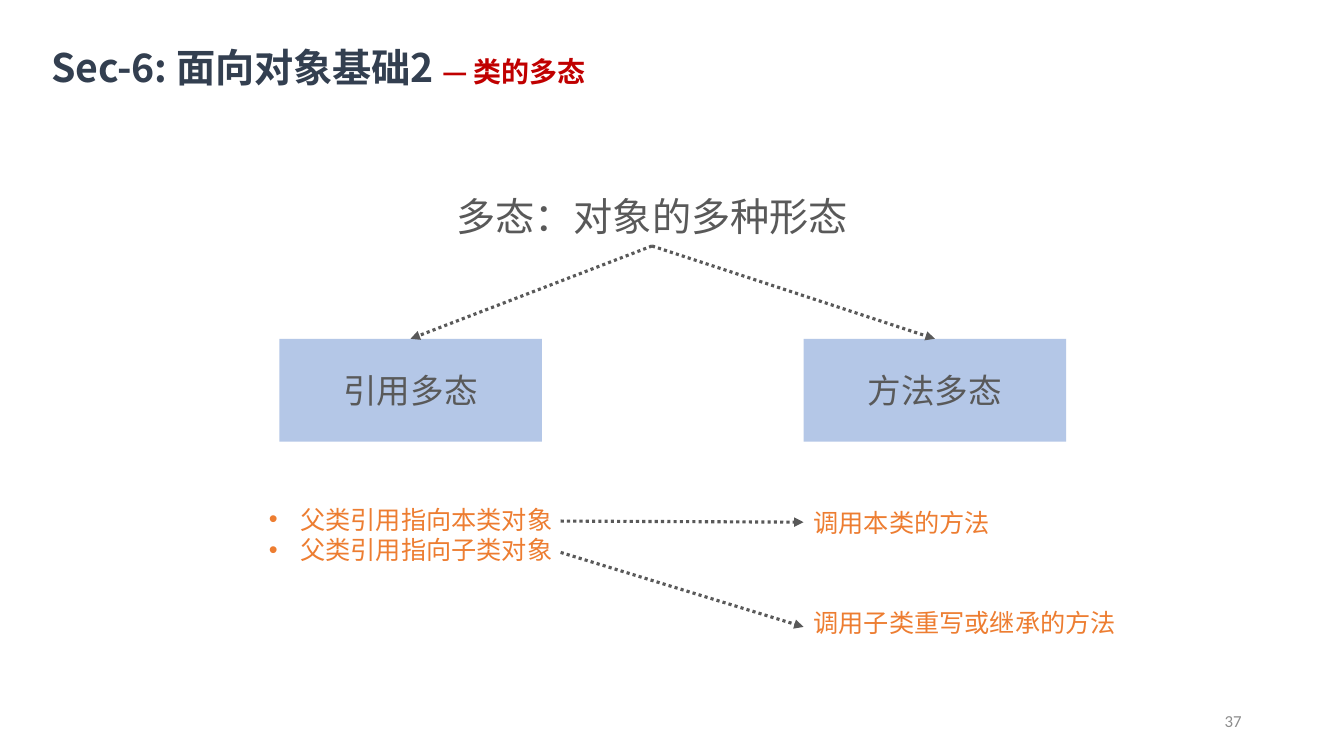
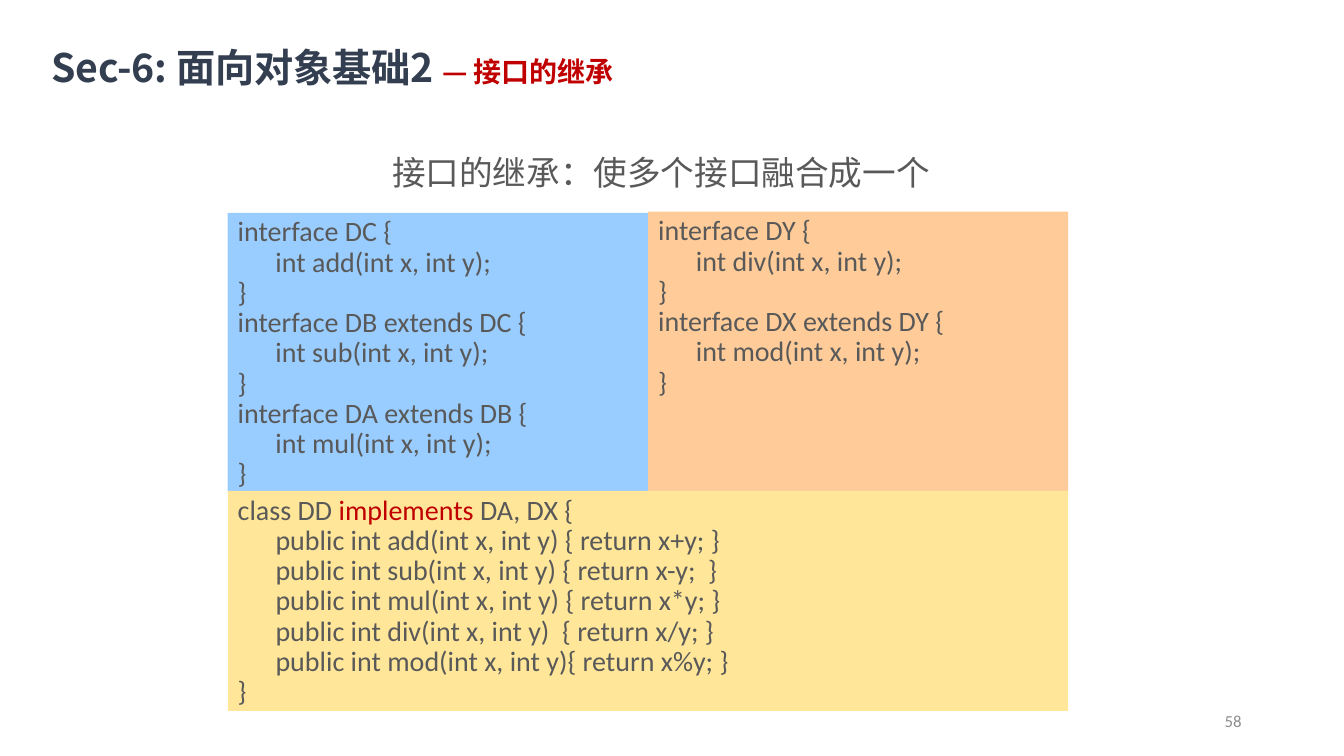
"""Build two lecture slides on polymorphism and interface inheritance."""
from lxml import etree
from pptx import Presentation
from pptx.dml.color import RGBColor
from pptx.enum.dml import MSO_LINE
from pptx.enum.shapes import MSO_CONNECTOR as CONNECTOR, MSO_SHAPE as SHAPE
from pptx.enum.text import MSO_ANCHOR as ANCHOR, PP_ALIGN as ALIGN
from pptx.oxml.ns import qn
from pptx.util import Pt

COLORS = {
    "navy": "333F50", "red": "C00000", "text": "595959", "number": "8C8C8C",
    "orange": "ED7D31", "box": "B4C7E7", "blue": "99CCFF", "peach": "FFCC99",
    "yellow": "FFE699",
}
CJK, LATIN = "Noto Sans CJK SC", "Calibri"
TITLE = {"size": Pt(28), "color": "navy", "bold": True}
TOPIC = {"size": Pt(20), "color": "red"}
NUMBER = {"size": Pt(12), "color": "number", "name": LATIN}
HEADING = {"size": Pt(28), "color": "text"}
LABEL = {"size": Pt(24), "color": "text"}
POINT = {"size": Pt(18), "color": "orange"}
CODE = {"size": Pt(20), "color": "text", "name": LATIN}
CENTER = {"alignment": ALIGN.CENTER}
HANGING = {"marL": Pt(27), "indent": Pt(-27)}
BULLETED = {"marL": Pt(22.5), "indent": Pt(-22.5)}


def add_text(slide, box, lines, font, fill=None, frame=None, layout=None, indent=None):
    position = [Pt(value) for value in box]
    if fill:
        shape = slide.shapes.add_shape(SHAPE.RECTANGLE, *position)
        shape.shadow.inherit = False
        shape.fill.solid()
        shape.fill.fore_color.rgb = RGBColor.from_string(COLORS[fill])
        shape.line.fill.background()
    else:
        shape = slide.shapes.add_textbox(*position)
    text_frame = shape.text_frame
    frame_format = {"word_wrap": True, "vertical_anchor": ANCHOR.TOP, **(frame or {})}
    for key, value in frame_format.items():
        setattr(text_frame, key, value)
    for index, line in enumerate(lines):
        paragraph = text_frame.add_paragraph() if index else text_frame.paragraphs[0]
        for key, value in {"alignment": ALIGN.LEFT, **(layout or {})}.items():
            setattr(paragraph, key, value)
        for key, value in (indent or {}).items():
            paragraph._p.get_or_add_pPr().set(key, str(int(value)))
        for text, changes in [(line, {})] if isinstance(line, str) else line:
            run = paragraph.add_run()
            run.text = text
            run_format = {"name": CJK, **font, **changes}
            run.font.color.rgb = RGBColor.from_string(COLORS[run_format.pop("color")])
            for key, value in run_format.items():
                setattr(run.font, key, value)
            properties = run._r.get_or_add_rPr()
            etree.SubElement(properties, qn("a:ea")).set("typeface", run_format["name"])
    return shape


presentation = Presentation()
presentation.slide_width, presentation.slide_height = Pt(960), Pt(540)

slides = []
for topic, number in [("类的多态", "37"), ("接口的继承", "58")]:
    slide = presentation.slides.add_slide(presentation.slide_layouts[6])
    title = add_text(
        slide, (36, 30.2, 520, 34.6),
        [[("Sec-6: 面向对象基础2 ", {}), (f"— {topic}", TOPIC)]], TITLE,
        frame={"margin_left": 0, "margin_top": Pt(0.9), "margin_right": 0, "margin_bottom": 0},
        layout={"space_before": Pt(0.9)}, indent={"marL": Pt(0.9), "indent": 0})
    for run in title.text_frame.paragraphs[0].runs:
        run.font._element.set("spc", "-10")
    add_text(slide, (678, 500.5, 216, 28.75), [number], NUMBER,
             frame={"vertical_anchor": ANCHOR.MIDDLE}, layout={"alignment": ALIGN.RIGHT})
    slides.append(slide)
polymorphism, inheritance = slides

heading = add_text(polymorphism, (264.5, 134, 402.5, 41.7), ["多态：对象的多种形态"],
                   HEADING, layout=CENTER)
kinds = [
    add_text(polymorphism, (left, 242, 187.5, 73.5), [label], LABEL, fill="box",
             frame={"vertical_anchor": ANCHOR.MIDDLE}, layout=CENTER)
    for left, label in [(199.5, "引用多态"), (574, "方法多态")]
]
references = add_text(polymorphism, (185, 356.5, 238.5, 51),
                      ["父类引用指向本类对象", "父类引用指向子类对象"], POINT, indent=BULLETED)
for paragraph in references.text_frame.paragraphs:
    properties = paragraph._p.get_or_add_pPr()
    etree.SubElement(properties, qn("a:buFont")).set("typeface", "Arial")
    etree.SubElement(properties, qn("a:buChar")).set("char", "•")
calls = [
    add_text(polymorphism, (574, top, 240, height), [label], POINT)
    for top, height, label in [(358.6, 28.8, "调用本类的方法"),
                               (430.6, 34.4, "调用子类重写或继承的方法")]
]

arrows = [(heading, None, kind, 0) for kind in kinds]
arrows += [(None, (400.5, y), call, 1) for y, call in zip((372.2, 394.6), calls)]
for source, start, target, side in arrows:
    x, y = start or (0, 0)
    arrow = polymorphism.shapes.add_connector(CONNECTOR.STRAIGHT, Pt(x), Pt(y), Pt(x), Pt(y))
    if source:
        arrow.begin_connect(source, 2)
    arrow.end_connect(target, side)
    arrow.line.color.rgb = RGBColor.from_string(COLORS["text"])
    arrow.line.width = Pt(2.25)
    arrow.line.dash_style = MSO_LINE.ROUND_DOT
    etree.SubElement(arrow.line._get_or_add_ln(), qn("a:tailEnd")).set("type", "triangle")
    etree.SubElement(arrow._element.spPr, qn("a:effectLst"))

add_text(inheritance, (273, 105, 414, 36), ["接口的继承：使多个接口融合成一个"], LABEL)
code_blocks = [
    ((162.7, 152, 300.3, 198.7), "blue", [
        "interface DC {", "\tint add(int x, int y);", "}",
        "interface DB extends DC {", "\tint sub(int x, int y);", "}",
        "interface DA extends DB {", "\tint mul(int x, int y);", "}"]),
    ((463, 151.2, 300, 199.5), "peach", [
        "interface DY {", "\tint div(int x, int y);", "}",
        "interface DX extends DY {", "\tint mod(int x, int y);", "}"]),
    ((162.7, 350.7, 600.3, 157), "yellow", [
        [("class DD ", {}), ("implements", {"color": "red"}), (" DA, DX {", {})],
        "\tpublic int add(int x, int y) { return x+y; }",
        "\tpublic int sub(int x, int y) { return x-y;  }",
        "\tpublic int mul(int x, int y) { return x*y; }",
        "\tpublic int div(int x, int y)  { return x/y; }",
        "\tpublic int mod(int x, int y){ return x%y; }", "}"]),
]
for box, fill, lines in code_blocks:
    add_text(inheritance, box, lines, CODE, fill=fill,
             layout={"line_spacing": 0.9}, indent=HANGING)

presentation.save("out.pptx")
